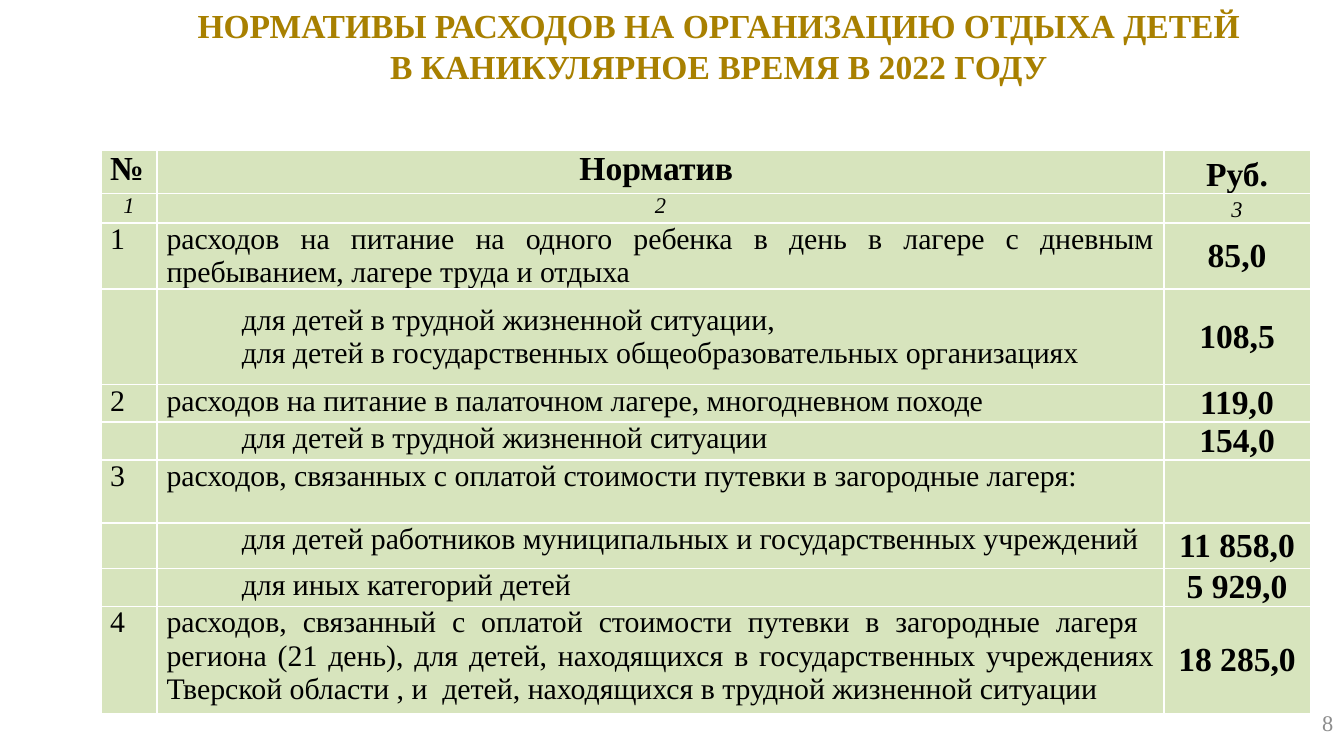
from dataclasses import dataclass

from lxml.etree import SubElement
from pptx import Presentation
from pptx.dml.color import RGBColor
from pptx.enum.text import MSO_ANCHOR, PP_ALIGN
from pptx.oxml.ns import qn
from pptx.util import Inches, Pt


@dataclass(frozen=True)
class Theme:
    font: str = "Times New Roman"
    ink: str = "000000"
    heading: str = "A88000"
    page: str = "8C8C8C"
    cell: str = "D7E4BD"
    border: str = "FFFFFF"
    large: int = 18
    body: int = 16
    small: int = 12


THEME = Theme()
COLUMN_WIDTHS = [0.42, 7.49, 1.09]
ROW_HEIGHTS = [0.31, 0.22, 0.49, 0.71, 0.28, 0.28, 0.47, 0.34, 0.28, 0.8]

HEADINGS = ("№", "Норматив ", "Руб.")
COLUMN_NUMBERS = ("1", "2", "3")
# Rows without a number are indented sub-items
NORMS = [
    ("1", "расходов на питание на одного ребенка в день в лагере с дневным "
          "пребыванием, лагере труда и отдыха", "85,0"),
    ("", "для детей в трудной жизненной ситуации,\n"
         "для детей в государственных общеобразовательных организациях", "108,5"),
    ("2", "расходов на питание в палаточном лагере, многодневном походе", "119,0"),
    ("", "для детей в трудной жизненной ситуации", "154,0"),
    ("3", "расходов, связанных с оплатой стоимости путевки в загородные лагеря:", ""),
    ("", "для детей работников муниципальных и государственных учреждений", "11 858,0"),
    ("", "для иных категорий детей", "5 929,0"),
    ("4", "расходов, связанный с оплатой стоимости путевки в загородные лагеря  "
          "региона (21 день), для детей, находящихся в государственных учреждениях "
          "Тверской области , и  детей, находящихся в трудной жизненной ситуации",
     "18 285,0"),
]


def apply(target, values):
    for name, value in values.items():
        setattr(target, name, value)


def write(frame, text, align, size, color=THEME.ink, spacing=None, indent=0, **style):
    """Fill a text frame, one paragraph for each line of text."""
    for index, line in enumerate(text.split("\n")):
        paragraph = frame.add_paragraph() if index else frame.paragraphs[0]
        apply(paragraph, {"alignment": align, "line_spacing": spacing})
        if indent:
            paragraph._p.get_or_add_pPr().set("marL", str(Inches(indent)))
        if line:
            run = paragraph.add_run()
            run.text = line
            apply(run.font, {"name": THEME.font, "size": Pt(size), **style})
            run.font.color.rgb = RGBColor.from_string(color)
        else:
            # Keeps an empty cell from stretching its row
            SubElement(paragraph._p, qn("a:endParaRPr"), sz=str(size * 100))


def add_text(slide, box, text, align, size, color, anchor=MSO_ANCHOR.TOP, **style):
    frame = slide.shapes.add_textbox(*map(Inches, box)).text_frame
    apply(frame, {
        "word_wrap": True, "vertical_anchor": anchor,
        "margin_left": Inches(0.08), "margin_right": Inches(0.08),
        "margin_top": Inches(0.04), "margin_bottom": Inches(0.04),
    })
    write(frame, text, align, size, color, **style)


def format_cell(cell, anchor):
    apply(cell, {
        "vertical_anchor": anchor,
        "margin_left": Inches(0.07), "margin_right": Inches(0.07),
        "margin_top": 0, "margin_bottom": 0,
    })
    properties = cell._tc.get_or_add_tcPr()
    for side in ("lnL", "lnR", "lnT", "lnB"):
        line = SubElement(properties, qn(f"a:{side}"), w=str(Pt(1)))
        SubElement(SubElement(line, qn("a:solidFill")), qn("a:srgbClr"), val=THEME.border)
    cell.fill.solid()
    cell.fill.fore_color.rgb = RGBColor.from_string(THEME.cell)


def text_format(row, column, number, text):
    """Choose the text format by the row's role and the column."""
    spacing = 1.15 if column == 2 else None
    if row == 0:
        align = PP_ALIGN.CENTER if column else PP_ALIGN.JUSTIFY
        return {"align": align, "size": THEME.large, "bold": True, "spacing": spacing}
    if row == 1:
        return {"align": PP_ALIGN.CENTER, "size": THEME.small, "italic": True,
                "spacing": spacing}
    if column == 2:
        size = THEME.large if text else THEME.body
        return {"align": PP_ALIGN.CENTER, "size": size, "bold": True}
    indent = 0.56 if column == 1 and not number else 0
    return {"align": PP_ALIGN.JUSTIFY, "size": THEME.body, "indent": indent}


def add_norms_table(slide):
    rows = [HEADINGS, COLUMN_NUMBERS, *NORMS]
    box = (0.75, 1.12, sum(COLUMN_WIDTHS), sum(ROW_HEIGHTS))
    table = slide.shapes.add_table(len(rows), len(HEADINGS), *map(Inches, box)).table
    apply(table, {"first_row": False, "horz_banding": False})
    for column, width in zip(table.columns, COLUMN_WIDTHS):
        column.width = Inches(width)
    for row, height in zip(table.rows, ROW_HEIGHTS):
        row.height = Inches(height)

    for r, values in enumerate(rows):
        for c, text in enumerate(values):
            cell = table.cell(r, c)
            two_lines = "\n" in text
            format_cell(cell, MSO_ANCHOR.MIDDLE if c == 2 or two_lines else MSO_ANCHOR.TOP)
            write(cell.text_frame, text, **text_format(r, c, values[0], text))


def main():
    presentation = Presentation()
    # Widescreen page, 16:9
    presentation.slide_width = Inches(10)
    presentation.slide_height = Inches(10 * 9 / 16)
    slide = presentation.slides.add_slide(presentation.slide_layouts[6])

    # Table of spending norms
    add_norms_table(slide)

    # Heading
    add_text(slide, (0.85, 0, 9, 0.68),
             "НОРМАТИВЫ РАСХОДОВ НА ОРГАНИЗАЦИЮ ОТДЫХА ДЕТЕЙ\n"
             "В КАНИКУЛЯРНОЕ ВРЕМЯ В 2022 ГОДУ",
             PP_ALIGN.CENTER, THEME.large, THEME.heading, bold=True)

    # Page number
    add_text(slide, (7.67, 5.23, 2.33, 0.3), "8", PP_ALIGN.RIGHT,
             THEME.small, THEME.page, MSO_ANCHOR.MIDDLE)

    presentation.save("out.pptx")


if __name__ == "__main__":
    main()
